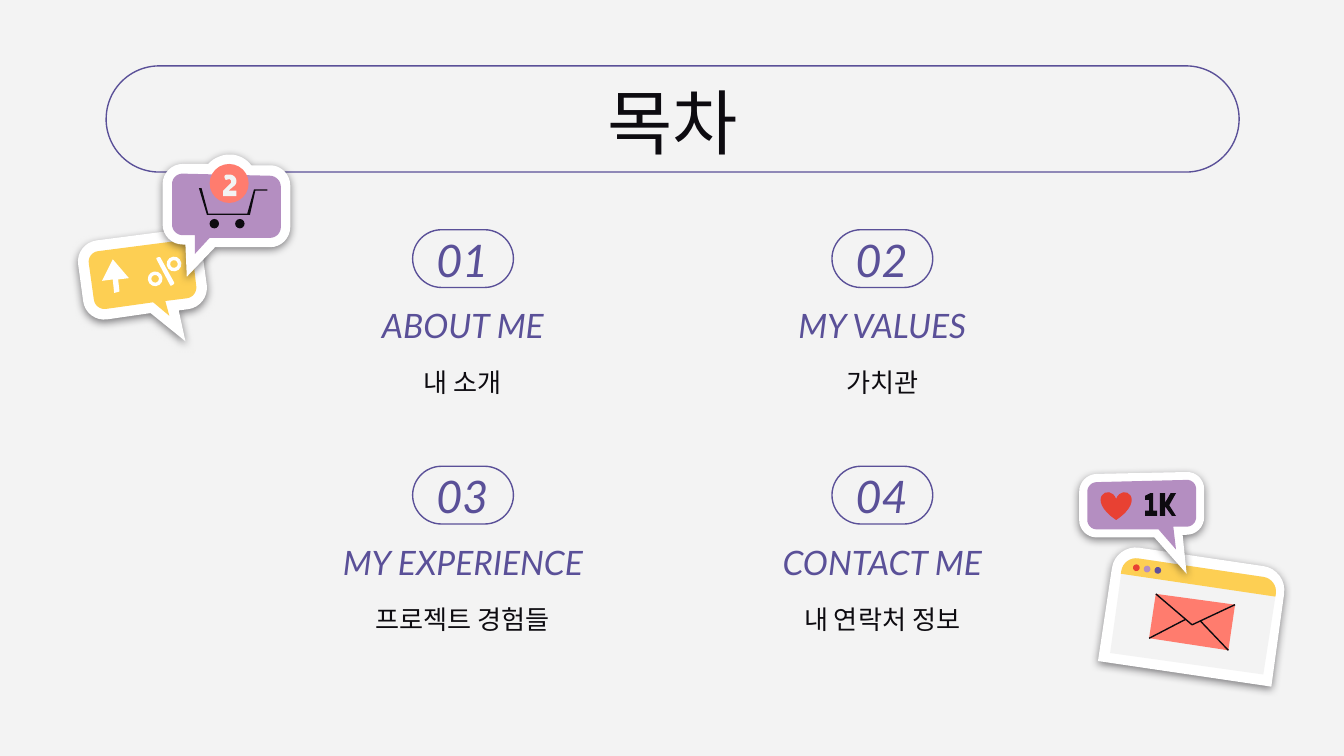
from math import cos, dist, radians, sin

from pptx import Presentation
from pptx.dml.color import RGBColor
from pptx.enum.shapes import MSO_CONNECTOR, MSO_SHAPE
from pptx.enum.text import MSO_ANCHOR, PP_ALIGN
from pptx.oxml import parse_xml
from pptx.oxml.ns import nsdecls, qn
from pptx.util import Cm, Pt

OVAL, DONUT, HEART = MSO_SHAPE.OVAL, MSO_SHAPE.DONUT, MSO_SHAPE.HEART
PILL, STRAIGHT = MSO_SHAPE.ROUNDED_RECTANGLE, MSO_CONNECTOR.STRAIGHT
TOP, MIDDLE, BOTTOM = MSO_ANCHOR.TOP, MSO_ANCHOR.MIDDLE, MSO_ANCHOR.BOTTOM
CENTER = PP_ALIGN.CENTER

INK, INDIGO, PAPER, WHITE = "0D0B10", "5A5098", "F3F3F3", "FFFFFF"
YELLOW, LILAC, CORAL, RED = "FDCF53", "B48EC1", "FF7C6E", "E84133"

# Content; all positions below are in inches
TITLE = "목차"
SECTIONS = [("01", "ABOUT ME", "내 소개"), ("02", "MY VALUES", "가치관"),
            ("03", "MY EXPERIENCE", "프로젝트 경험들"), ("04", "CONTACT ME", "내 연락처 정보")]
TITLE_FONT = dict(name="Roboto", size=Pt(38), italic=False)
NUMBER_FONT = dict(name="Lato", size=Pt(24), italic=True)
HEADING_FONT = dict(name="Lato", size=Pt(18), italic=True)
BODY_FONT = dict(name="Roboto", size=Pt(14), italic=False)

# Stickers: rotation, then parts from back to front; the first part casts a shadow.
# Outline corners are (x, y) or (x, y, radius); presets have left, top, width, height.
DISCOUNT = (-7.3, [
    ("outline", WHITE, [(.56, 1.81, .16), (1.48, 1.69, .16), (1.56, 2.28, .16), (1.33, 2.31),
                        (1.38, 2.54), (1.12, 2.33), (.64, 2.4, .16)]),
    ("outline", YELLOW, [(.65, 1.88, .08), (1.42, 1.78, .08), (1.47, 2.21, .08), (1.23, 2.24),
                         (1.26, 2.35), (1.14, 2.25), (.71, 2.31, .08)]),
    ("outline", WHITE, [(.84, 1.93), (.96, 2.07), (.88, 2.08), (.89, 2.17), (.85, 2.18),
                        (.84, 2.08), (.76, 2.09)]),
    (DONUT, WHITE, (1.24, 1.91, .11, .11)),
    (DONUT, WHITE, (1.1, 2.02, .11, .11)),
    ("outline", WHITE, [(1.16, 1.92, .01), (1.19, 1.91, .01), (1.3, 2.11, .01), (1.27, 2.13, .01)]),
])
CART = (0, [
    ("outline", WHITE, [(1.21, 1.22, .15), (1.55, 1.22), (1.62, 1.15, .08), (1.8, 1.15, .08),
                        (1.87, 1.23), (2.16, 1.23, .15), (2.16, 1.84, .15), (1.6, 1.84),
                        (1.39, 2.06), (1.38, 1.82), (1.21, 1.82, .15)]),
    ("outline", LILAC, [(1.28, 1.29, .08), (2.09, 1.31, .08), (2.09, 1.77, .08), (1.56, 1.77),
                        (1.45, 1.89), (1.45, 1.75), (1.28, 1.75, .08)]),
    ("outline", INK, [(1.48, 1.4), (1.5, 1.4), (1.55, 1.59), (1.84, 1.59), (1.89, 1.41),
                      (1.99, 1.41), (1.99, 1.42), (1.9, 1.42), (1.86, 1.6), (1.54, 1.6)]),
    (OVAL, INK, (1.56, 1.63, .07, .07)),
    (OVAL, INK, (1.75, 1.63, .07, .07)),
    (OVAL, CORAL, (1.56, 1.22, .29, .29)),
    # Digit two
    ("outline", PAPER, [(1.68, 1.34), (1.66, 1.3, .03), (1.76, 1.3, .05), (1.76, 1.37, .02),
                        (1.7, 1.42), (1.76, 1.42), (1.76, 1.46), (1.66, 1.46), (1.66, 1.42),
                        (1.72, 1.36), (1.72, 1.33, .02)]),
])
MAIL = (8.2, [
    ("outline", WHITE, [(8.3, 4.05, .18), (9.58, 4.24, .18), (9.46, 5.11), (8.17, 4.92)]),
    ("outline", PAPER, [(8.36, 4.14, .11), (9.51, 4.31, .11), (9.4, 5.02), (8.26, 4.86)]),
    ("outline", YELLOW, [(8.36, 4.14, .11), (9.51, 4.31, .11), (9.49, 4.44), (8.34, 4.27)]),
    (OVAL, RED, (8.43, 4.2, .05, .05)),
    (OVAL, LILAC, (8.51, 4.21, .05, .05)),
    (OVAL, "5F4F9C", (8.59, 4.22, .05, .05)),
    ("outline", CORAL, [(8.6, 4.42), (8.55, 4.75), (9.14, 4.84), (9.19, 4.5)]),
    ("stroke", INK, [(8.6, 4.42), (8.87, 4.65), (9.19, 4.5)]),
    ("line", INK, (8.55, 4.75, 8.82, 4.61)),
    ("line", INK, (8.93, 4.62, 9.14, 4.84)),
])
LIKES = (0, [
    ("outline", WHITE, [(8.03, 3.53, .13), (8.96, 3.51, .13), (8.96, 3.98, .13), (8.8, 3.98),
                        (8.83, 4.27), (8.59, 4), (8.03, 4, .13)]),
    ("outline", LILAC, [(8.09, 3.59, .07), (8.9, 3.57, .07), (8.9, 3.92, .07), (8.73, 3.92),
                        (8.75, 4.09), (8.62, 3.94), (8.09, 3.94, .07)]),
    (HEART, RED, (8.19, 3.66, .23, .21)),
    # Digit one and letter K
    ("outline", INK, [(8.52, 3.69), (8.56, 3.67), (8.58, 3.67), (8.58, 3.8), (8.61, 3.8),
                      (8.61, 3.84), (8.52, 3.84), (8.52, 3.8), (8.55, 3.8), (8.55, 3.72),
                      (8.52, 3.72)]),
    ("outline", INK, [(8.63, 3.67), (8.67, 3.67), (8.67, 3.74), (8.71, 3.67), (8.75, 3.67),
                      (8.7, 3.76), (8.75, 3.84), (8.72, 3.84), (8.67, 3.77), (8.67, 3.84),
                      (8.63, 3.84)]),
])


def inches(*values):
    return [Cm(v * 2.54) for v in values]


def rgb(value):
    return RGBColor.from_string(value)


def style(sp, fill=None, line=None):
    sp.shadow.inherit = False
    if fill:
        sp.fill.solid()
        sp.fill.fore_color.rgb = rgb(fill)
    else:
        sp.fill.background()
    if line:
        sp.line.color.rgb, sp.line.width = rgb(line), Pt(0.75)
    else:
        sp.line.fill.background()


def turn(point, pivot, angle):
    a, dx, dy = radians(angle), point[0] - pivot[0], point[1] - pivot[1]
    return pivot[0] + dx * cos(a) - dy * sin(a), pivot[1] + dx * sin(a) + dy * cos(a)


def rounded(corners, steps=8):
    """Replace each corner that has a radius by points on an arc."""
    points = []
    for i, (*p, r) in enumerate([(*c, 0)[:3] for c in corners]):
        if not r:
            points.append(p)
            continue
        ends = []
        for q in (corners[i - 1], corners[(i + 1) % len(corners)]):
            k = min(r / dist(p, q[:2]), 1)
            ends.append([a + (b - a) * k for a, b in zip(p, q)])
        for t in (n / steps for n in range(steps + 1)):
            u = 1 - t
            wa, wp, wb = u**3 + 1.35 * u * u * t, 1.65 * u * t, t**3 + 1.35 * u * t * t
            points.append([wa * a + wp * c + wb * b for a, c, b in zip(ends[0], p, ends[1])])
    return points


def add_outline(shapes, corners, angle, closed):
    """Build the level outline, then turn it about its own centre."""
    pivot = corners[0][:2]
    level = [inches(*turn(p, pivot, -angle)) for p in rounded(corners)]
    fb = shapes.build_freeform(*level[0], scale=1)
    fb.add_line_segments(level[1:], close=closed)
    sp = fb.convert_to_shape()
    cx, cy = turn((sp.left + sp.width / 2, sp.top + sp.height / 2), inches(*pivot), angle)
    sp.left, sp.top, sp.rotation = int(cx - sp.width / 2), int(cy - sp.height / 2), angle
    return sp


def add_sticker(s, angle, parts):
    shapes = s.shapes.add_group_shape().shapes
    for i, (kind, color, place) in enumerate(parts):
        if kind == "line":
            c = shapes.add_connector(STRAIGHT, *inches(*place))
            c.line.color.rgb, c.line.width = rgb(color), Pt(0.75)
            c._element.spPr.append(parse_xml(f"<a:effectLst {nsdecls('a')}/>"))
        elif kind == "stroke":
            style(add_outline(shapes, place, angle, False), line=color)
        elif kind == "outline":
            sp = add_outline(shapes, place, angle, True)
            style(sp, color)
            if i == 0:
                sp._element.spPr.find(qn("a:effectLst")).append(parse_xml(
                    f'<a:outerShdw {nsdecls("a")} blurRad="{Pt(4.5)}" dist="{Pt(1.5)}" dir="5400000" '
                    f'algn="bl" rotWithShape="0"><a:srgbClr val="{INK}"><a:alpha val="50000"/>'
                    '</a:srgbClr></a:outerShdw>'))
        else:
            sp = shapes.add_shape(kind, *inches(*place))
            sp.rotation = angle
            if kind == DONUT:
                sp.adjustments[0] = 0.24
            style(sp, color)


def add_pill(s, *place):
    sp = s.shapes.add_shape(PILL, *inches(*place))
    sp.adjustments[0] = 0.5
    style(sp, line=INDIGO)


def add_text(s, text, place, font, color, anchor):
    tf = s.shapes.add_textbox(*inches(*place)).text_frame
    margin = Cm(0.25)
    frame = dict(word_wrap=True, vertical_anchor=anchor, margin_left=margin,
                 margin_right=margin, margin_top=margin, margin_bottom=margin)
    for key, value in frame.items():
        setattr(tf, key, value)
    p = tf.paragraphs[0]
    p.alignment = CENTER
    r = p.add_run()
    r.text = text
    for key, value in font.items():
        setattr(r.font, key, value)
    r.font.color.rgb = rgb(color)


prs = Presentation()
prs.slide_width, prs.slide_height = Cm(25.4), Cm(14.29)
s = prs.slides.add_slide(prs.slide_layouts[6])
s.background.fill.solid()
s.background.fill.fore_color.rgb = rgb(PAPER)

# Title, with the discount sticker behind it
add_sticker(s, *DISCOUNT)
add_pill(s, .79, .49, 8.43, .79)
add_text(s, TITLE, (.79, .49, 8.43, .63), TITLE_FONT, INK, TOP)

# Two by two grid of sections
for i, (number, heading, body) in enumerate(SECTIONS):
    x, y = 2.21 + i % 2 * 3.12, 1.71 + i // 2 * 1.76
    add_pill(s, x + .86, y, .75, .43)
    add_text(s, number, (x + .89, y + .06, .68, .32), NUMBER_FONT, INDIGO, MIDDLE)
    add_text(s, heading, (x, y + .48, 2.47, .48), HEADING_FONT, INDIGO, BOTTOM)
    add_text(s, body, (x, y + .92, 2.47, .65), BODY_FONT, INK, TOP)

# Stickers in front
for sticker in (CART, MAIL, LIKES):
    add_sticker(s, *sticker)

prs.save("out.pptx")
